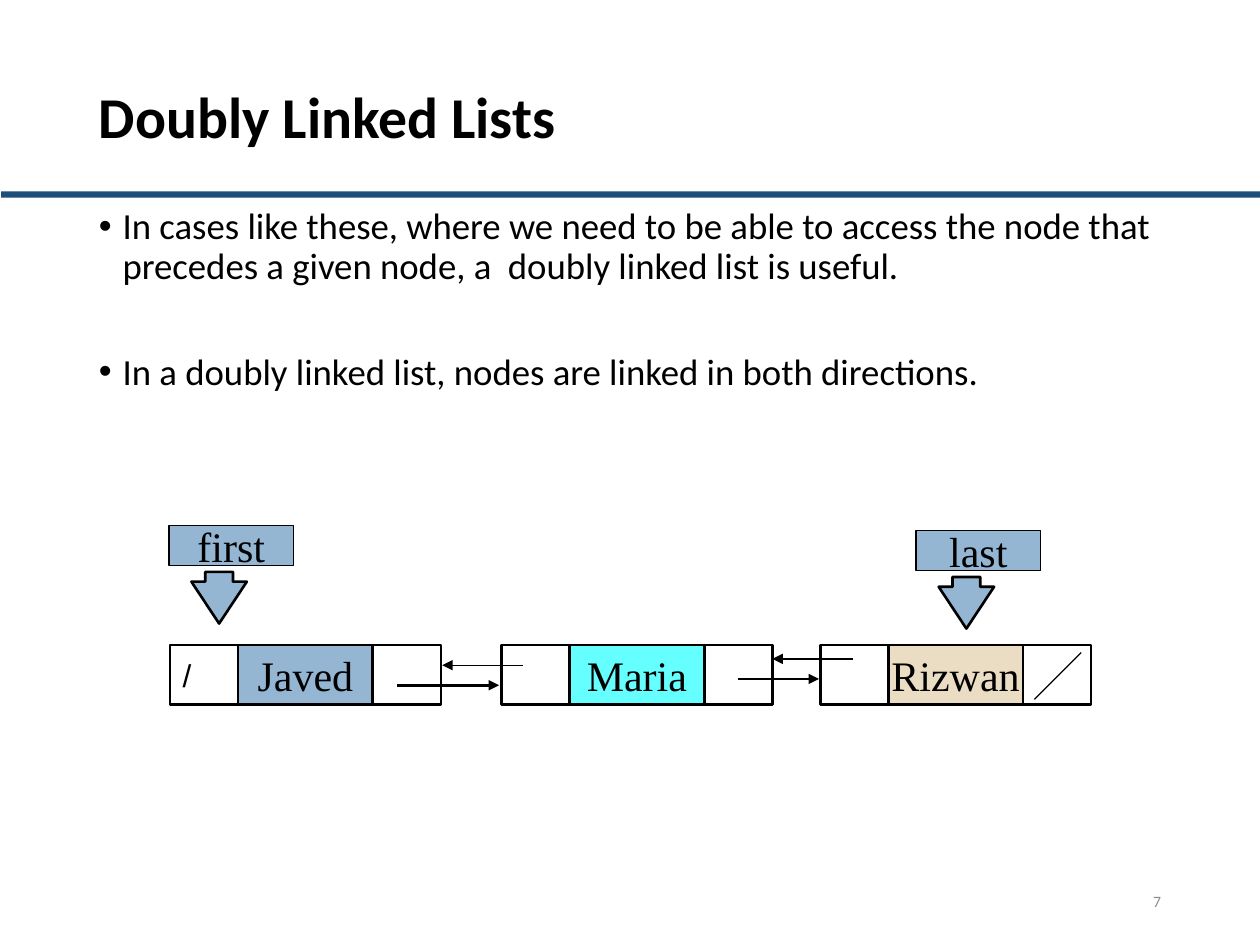
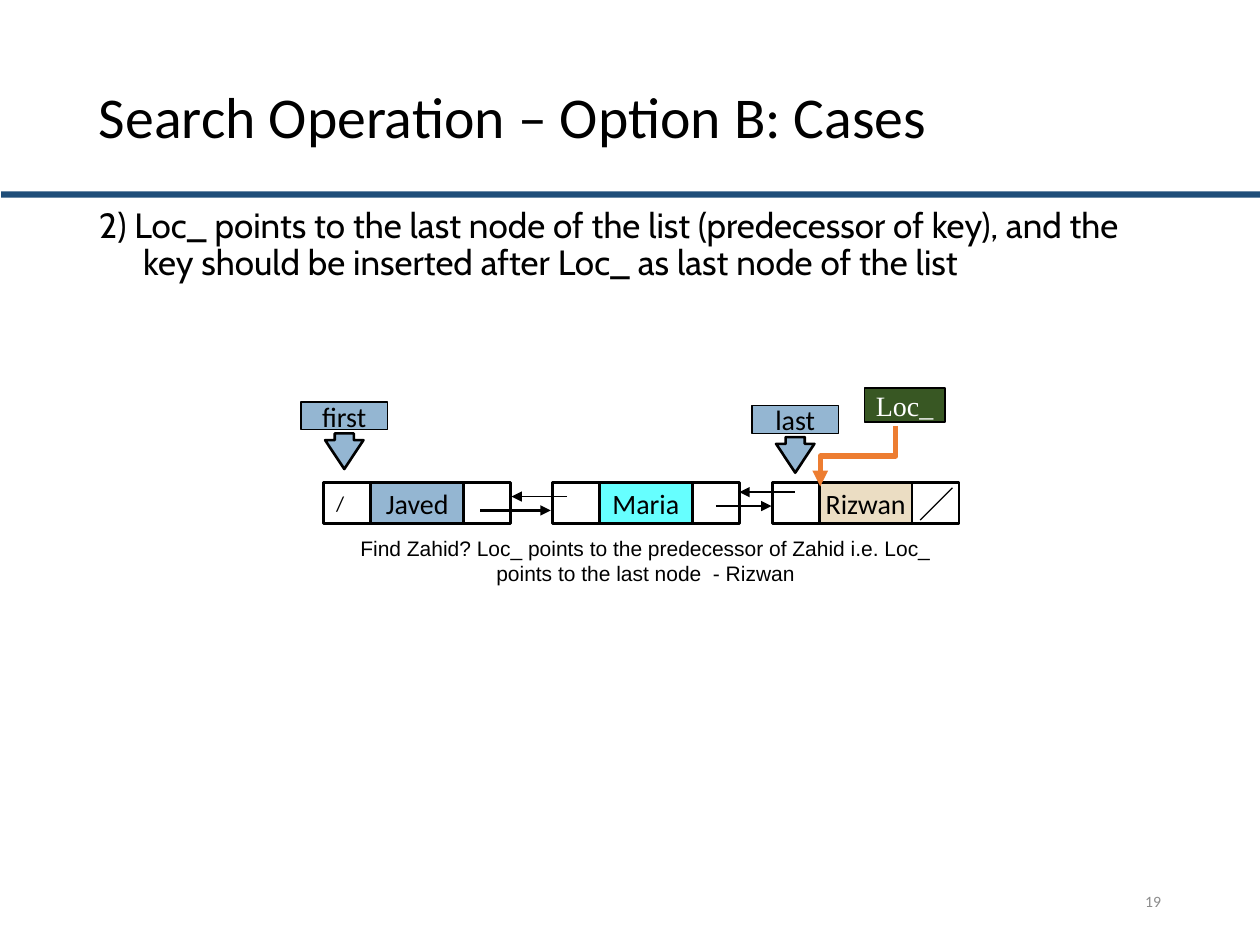
from lxml.etree import SubElement
from pptx import Presentation
from pptx.dml.color import RGBColor
from pptx.enum.shapes import MSO_CONNECTOR as Connector, MSO_SHAPE as Shape
from pptx.enum.text import MSO_ANCHOR as Anchor, PP_ALIGN as Align
from pptx.oxml.ns import qn
from pptx.util import Pt

BLACK = RGBColor(0x00, 0x00, 0x00)
WHITE = RGBColor(0xFF, 0xFF, 0xFF)
NAVY = RGBColor(0x1F, 0x4E, 0x79)
GRAY = RGBColor(0x8C, 0x8C, 0x8C)
BLUE = RGBColor(0x94, 0xB6, 0xD2)
CYAN = RGBColor(0x66, 0xFF, 0xFF)
SAND = RGBColor(0xEB, 0xDD, 0xC3)
GREEN = RGBColor(0x38, 0x57, 0x23)
ORANGE = RGBColor(0xED, 0x7D, 0x31)

NODE_WIDTH, NODE_HEIGHT = 154.8, 34
DATA_OFFSET, DATA_WIDTH = 38.9, 77
NODES = [("Javed", 0, BLUE), ("Maria", 189.4, CYAN), ("Rizwan", 371.5, SAND)]
LINKS = [
    (129.6, 23, 188, 23, 1.5, True),
    (324.7, 19.4, 370.8, 19.4, 1.5, True),
    (390.2, 7.9, 344.2, 7.9, 0.75, True),
    (201.6, 11.5, 155.5, 11.5, 0.75, True),
    (520.6, 4.3, 493.9, 31, 0.75, False),
]

SLIDES = [
    {
        "title": "Doubly Linked Lists", "bold": True, "number": "7",
        "body": [
            "In cases like these, where we need to be able to access the node that "
            "precedes a given node, a  doubly linked list is useful.",
            "In a doubly linked list, nodes are linked in both directions.",
        ],
        "body_font": ("Calibri", 21), "indent": 13.5, "bullet": True, "space": 7.5,
        "origin": (97.2, 368.6), "scale": 1,
        "font": ("Times New Roman", 24), "null_font": ("Arial", 18),
        "pointers": [("first", 96.5, 300.2, 109.4), ("last", 523.4, 303.1, 536.4)],
        "arrow_drop": 26.6,
    },
    {
        "title": "Search Operation – Option B: Cases", "bold": False, "number": "19",
        "body": [
            "2) Loc_ points to the last node of the list (predecessor of key), and the "
            "key should be inserted after Loc_ as last node of the list",
        ],
        "body_font": ("Cabin", 20), "indent": 25.2, "bullet": False, "space": 7,
        "origin": (185, 275.8), "scale": 0.69,
        "font": ("Calibri", 16), "null_font": ("Calibri", 12),
        "pointers": [("first", 172.1, 229.7, 185.8), ("last", 429.8, 231.8, 443.5)],
        "arrow_drop": 18,
    },
]


def write(shape, texts, font, size, color=BLACK, align=Align.LEFT, anchor=Anchor.MIDDLE, wrap=True):
    frame = shape.text_frame
    frame.word_wrap = wrap
    frame.vertical_anchor = anchor
    frame.text = "\n".join(texts)
    for paragraph in frame.paragraphs:
        paragraph.alignment = align
        paragraph.font.name = font
        for run in paragraph.runs:
            run.font.name = font
            run.font.size = Pt(size)
            run.font.color.rgb = color
    return frame


def add_box(slide, kind, left, top, width, height, fill=None, weight=None):
    shape = slide.shapes.add_shape(kind, Pt(left), Pt(top), Pt(width), Pt(height))
    shape.shadow.inherit = False
    if fill is None:
        shape.fill.background()
    else:
        shape.fill.solid()
        shape.fill.fore_color.rgb = fill
    if weight is None:
        shape.line.fill.background()
    else:
        shape.line.color.rgb = BLACK
        shape.line.width = Pt(weight)
    return shape


presentation = Presentation()
presentation.slide_width = Pt(720)
presentation.slide_height = Pt(540)

for content in SLIDES:
    slide = presentation.slides.add_slide(presentation.slide_layouts[6])
    add_box(slide, Shape.RECTANGLE, 0.7, 109.4, 720, 3.6, NAVY)

    title = slide.shapes.add_textbox(Pt(49.5), Pt(28.8), Pt(621), Pt(79.2))
    frame = write(title, [content["title"]], "Calibri", 33)
    frame.paragraphs[0].line_spacing = 0.9
    frame.paragraphs[0].runs[0].font.bold = content["bold"]

    body = slide.shapes.add_textbox(Pt(49.5), Pt(115.2), Pt(621), Pt(371.5))
    frame = write(body, content["body"], *content["body_font"], anchor=Anchor.TOP)
    for index, paragraph in enumerate(frame.paragraphs):
        paragraph.line_spacing = 0.9
        paragraph.space_before = Pt(content["space"] if index == 0 else 38)
        properties = paragraph._p.get_or_add_pPr()
        properties.set("marL", str(Pt(content["indent"])))
        properties.set("indent", str(-Pt(content["indent"])))
        if content["bullet"]:
            SubElement(properties, qn("a:buFont"), typeface="Arial")
            SubElement(properties, qn("a:buChar"), char="•")

    number = slide.shapes.add_textbox(Pt(508.5), Pt(500.4), Pt(162), Pt(28.8))
    write(number, [content["number"]], "Calibri", 9, GRAY, Align.RIGHT)

    x, y = content["origin"]
    scale = content["scale"]
    height = NODE_HEIGHT * scale
    for name, offset, color in NODES:
        left = x + offset * scale
        node = add_box(slide, Shape.RECTANGLE, left, y, NODE_WIDTH * scale, height, None, 1.5)
        if offset == 0:
            write(node, ["/"], *content["null_font"], wrap=False)
        data = add_box(slide, Shape.RECTANGLE, left + DATA_OFFSET * scale, y,
                       DATA_WIDTH * scale, height, color, 1.5)
        write(data, [name], *content["font"], align=Align.CENTER, wrap=False)

    for name, left, top, arrow_left in content["pointers"]:
        arrow = add_box(slide, Shape.DOWN_ARROW, arrow_left, top + content["arrow_drop"],
                        31.7 * scale, 29.5 * scale, BLUE, 1.5)
        arrow.adjustments[0] = 0.5
        arrow.adjustments[1] = 0.81
        label = add_box(slide, Shape.RECTANGLE, left, top, 71.3 * scale, 23 * scale, BLUE, 0.75)
        write(label, [name], *content["font"], align=Align.CENTER, wrap=False)

    lines = [
        (Connector.STRAIGHT, x + x1 * scale, y + y1 * scale, x + x2 * scale, y + y2 * scale,
         BLACK, weight, head)
        for x1, y1, x2, y2, weight, head in LINKS
    ]
    if content is SLIDES[1]:
        location = add_box(slide, Shape.RECTANGLE, 493.9, 221.8, 46.1, 19.4, GREEN, 0.75)
        write(location, ["Loc_"], "Times New Roman", 16, WHITE, Align.CENTER, wrap=False)
        caption = slide.shapes.add_textbox(Pt(191.5), Pt(302.4), Pt(355), Pt(36))
        write(caption, ["Find Zahid? Loc_ points to the predecessor of Zahid i.e. Loc_ "
                        "points to the last node  - Rizwan"],
              "Arial", 12, align=Align.CENTER, anchor=Anchor.TOP)
        lines.append((Connector.ELBOW, 473, 239, 507.6, 282.2, ORANGE, 3, True))

    for kind, x1, y1, x2, y2, color, weight, head in lines:
        connector = slide.shapes.add_connector(kind, Pt(x1), Pt(y1), Pt(x2), Pt(y2))
        connector.line.color.rgb = color
        connector.line.width = Pt(weight)
        properties = connector._element.spPr
        if head:
            SubElement(properties.find(qn("a:ln")), qn("a:tailEnd"), type="triangle")
        if kind == Connector.ELBOW:
            properties.find(qn("a:xfrm")).set("rot", "5400000")
        SubElement(properties, qn("a:effectLst"))

presentation.save("out.pptx")
